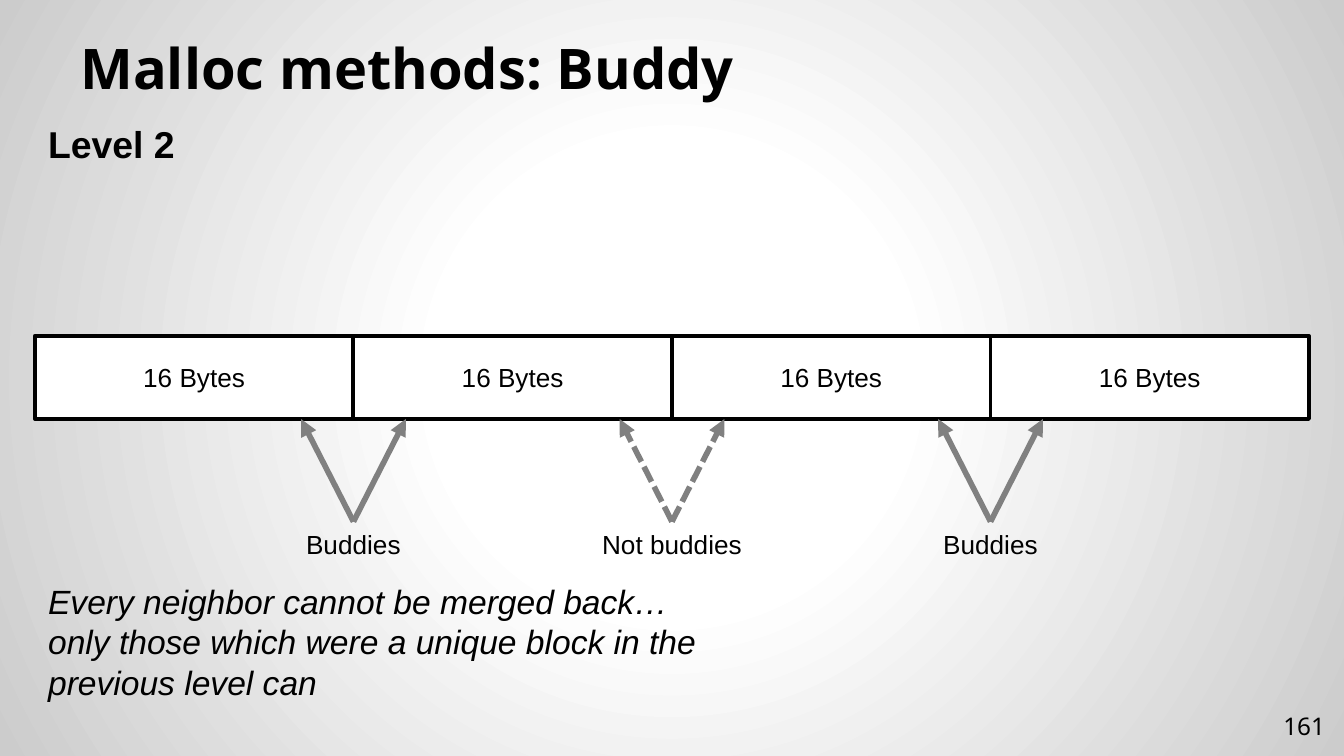
from dataclasses import dataclass

from pptx import Presentation
from pptx.dml.color import RGBColor
from pptx.enum.dml import MSO_LINE
from pptx.enum.shapes import MSO_CONNECTOR, MSO_SHAPE
from pptx.enum.text import MSO_ANCHOR, MSO_AUTO_SIZE, PP_ALIGN
from pptx.oxml import parse_xml
from pptx.oxml.ns import nsdecls
from pptx.oxml.xmlchemy import OxmlElement
from pptx.shapes.autoshape import Shape
from pptx.slide import Slide
from pptx.util import Cm, Pt

BLACK = RGBColor(0x00, 0x00, 0x00)
WHITE = RGBColor(0xFF, 0xFF, 0xFF)
GRAY = RGBColor(0x80, 0x80, 0x80)
DASH = MSO_LINE.SQUARE_DOT
STRAIGHT = MSO_CONNECTOR.STRAIGHT
RECTANGLE = MSO_SHAPE.RECTANGLE
LEFT, CENTER, RIGHT = PP_ALIGN.LEFT, PP_ALIGN.CENTER, PP_ALIGN.RIGHT
TOP, MIDDLE, BOTTOM = MSO_ANCHOR.TOP, MSO_ANCHOR.MIDDLE, MSO_ANCHOR.BOTTOM
GROW = MSO_AUTO_SIZE.SHAPE_TO_FIT_TEXT

BLOCK_COUNT = 4
BLOCK_LEFT, BLOCK_TOP = 0.66, 6.35
BLOCK_WIDTH, BLOCK_HEIGHT = 6.02, 1.57
BLOCK_BOTTOM = BLOCK_TOP + BLOCK_HEIGHT
LABEL_TOP, LABEL_WIDTH, LABEL_HEIGHT = 9.86, 4.0, 0.86
ARROW_REACH = 0.99


@dataclass(frozen=True)
class Text:
    words: str
    size: float
    font: str = "Arial"
    bold: bool = False
    italic: bool = False
    align: PP_ALIGN = LEFT
    anchor: MSO_ANCHOR = TOP


@dataclass(frozen=True)
class Box:
    left: float
    top: float
    width: float
    height: float
    text: Text
    margin: float = 0.13
    grow: bool = True


@dataclass(frozen=True)
class Pair:
    boundary: int
    label: str
    dashed: bool = False


BOXES = [
    Box(1.27, 0.58, 22.86, 1.57,
        Text("Malloc methods: Buddy", 30, "Noto Sans", bold=True, anchor=BOTTOM),
        0.25, False),
    Box(23.77, 13.18, 1.52, 1.09,
        Text("161", 13, "Noto Sans", align=RIGHT, anchor=MIDDLE), 0.25, False),
    Box(0.66, 2.16, 7.29, 1.12, Text("Level 2", 20, bold=True)),
    Box(0.66, 10.85, 12.75, 2.57,
        Text("Every neighbor cannot be merged back… only those which were "
             "a unique block in the previous level can", 18, italic=True)),
]
PAIRS = [Pair(1, "Buddies"), Pair(2, "Not buddies", True), Pair(3, "Buddies")]


def set_background(s: Slide) -> None:
    stops = "".join(
        f'<a:gs pos="{pos}"><a:srgbClr val="{color}"/></a:gs>'
        for pos, color in ((0, "FFFFFF"), (30000, "FFFFFF"), (100000, "CCCCCC"))
    )
    s._element.cSld.insert(0, parse_xml(
        f'<p:bg {nsdecls("p", "a")}><p:bgPr><a:gradFill><a:gsLst>{stops}</a:gsLst>'
        '<a:path path="circle">'
        '<a:fillToRect l="50000" t="50000" r="50000" b="50000"/></a:path>'
        '</a:gradFill><a:effectLst/></p:bgPr></p:bg>'
    ))


def write(shape: Shape, text: Text) -> None:
    tf = shape.text_frame
    tf.word_wrap = True
    tf.vertical_anchor = text.anchor
    p = tf.paragraphs[0]
    p.text = text.words
    p.alignment = text.align
    p.font.name = text.font
    p.font.size = Pt(text.size)
    p.font.bold = text.bold
    p.font.italic = text.italic
    p.font.color.rgb = BLACK


def add_box(s: Slide, box: Box) -> Shape:
    sp = s.shapes.add_textbox(Cm(box.left), Cm(box.top), Cm(box.width), Cm(box.height))
    write(sp, box.text)
    tf = sp.text_frame
    tf.margin_top = tf.margin_bottom = Cm(box.margin)
    if box.grow:
        tf.auto_size = GROW
    return sp


def add_block(s: Slide, index: int) -> None:
    sp = s.shapes.add_shape(RECTANGLE, Cm(BLOCK_LEFT + index * BLOCK_WIDTH),
                            Cm(BLOCK_TOP), Cm(BLOCK_WIDTH), Cm(BLOCK_HEIGHT))
    sp.shadow.inherit = False
    sp.fill.solid()
    sp.fill.fore_color.rgb = WHITE
    sp.line.color.rgb = BLACK
    sp.line.width = Pt(2)
    write(sp, Text("16 Bytes", 14, align=CENTER, anchor=MIDDLE))


def add_arrow(s: Slide, label: Shape, tip: float, dashed: bool) -> None:
    arrow = s.shapes.add_connector(STRAIGHT, label.left + label.width // 2, label.top,
                                   Cm(tip), Cm(BLOCK_BOTTOM))
    arrow.begin_connect(label, 0)
    arrow.line.color.rgb = GRAY
    arrow.line.width = Pt(3)
    if dashed:
        arrow.line.dash_style = DASH
    head = OxmlElement("a:tailEnd")
    head.set("type", "triangle")
    arrow.line._get_or_add_ln().append(head)
    arrow._element.spPr.append(OxmlElement("a:effectLst"))


def add_pair(s: Slide, pair: Pair) -> None:
    center = BLOCK_LEFT + pair.boundary * BLOCK_WIDTH
    label = add_box(s, Box(center - LABEL_WIDTH / 2, LABEL_TOP, LABEL_WIDTH,
                           LABEL_HEIGHT, Text(pair.label, 14, align=CENTER)))
    for reach in (-ARROW_REACH, ARROW_REACH):
        add_arrow(s, label, center + reach, pair.dashed)


def main() -> None:
    prs = Presentation()
    prs.slide_width, prs.slide_height = Cm(25.4), Cm(14.29)
    s = prs.slides.add_slide(prs.slide_layouts[6])
    set_background(s)
    for box in BOXES:
        add_box(s, box)
    for index in range(BLOCK_COUNT):
        add_block(s, index)
    for pair in PAIRS:
        add_pair(s, pair)
    prs.save("out.pptx")


if __name__ == "__main__":
    main()
